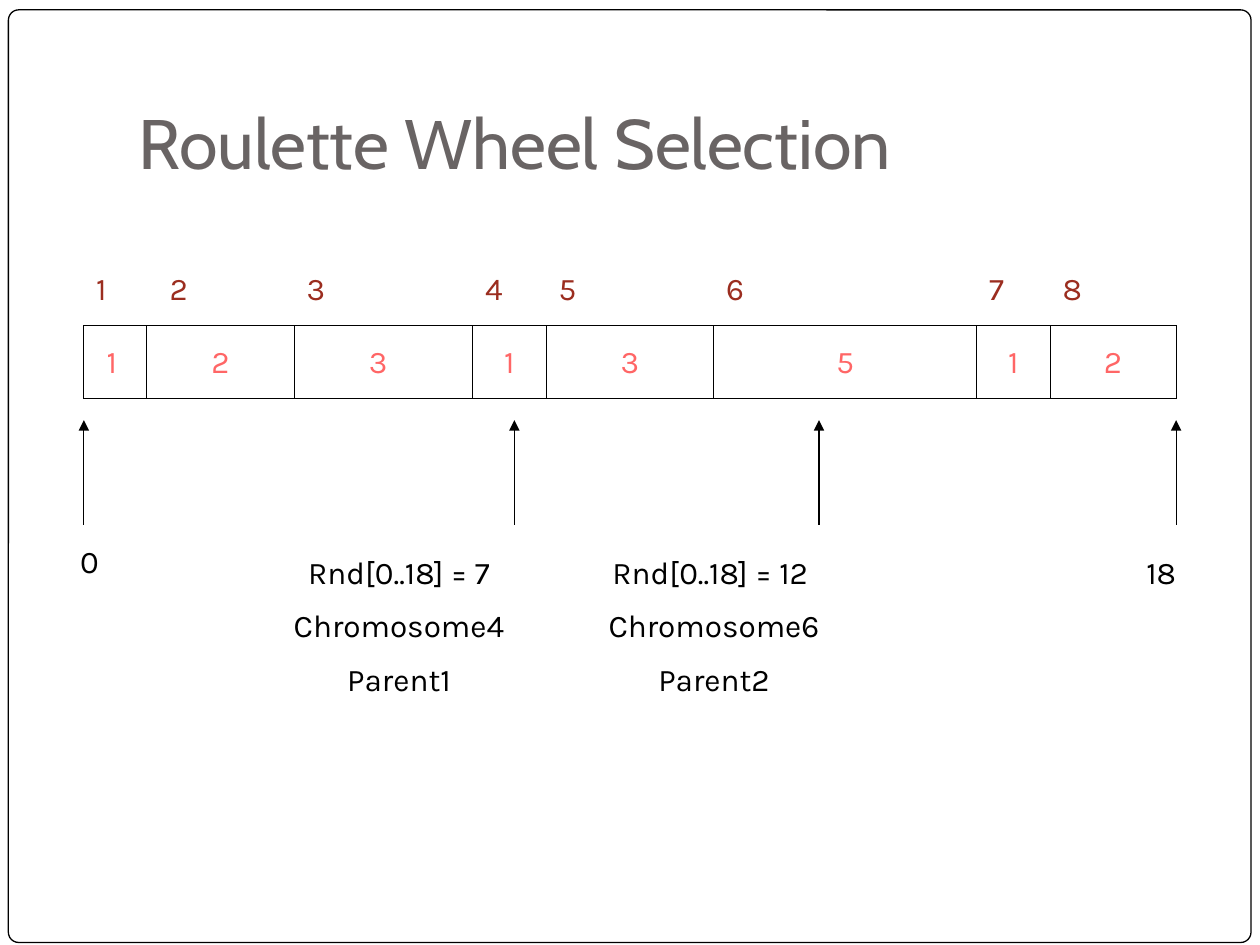
from dataclasses import dataclass

from pptx import Presentation
from pptx.dml.color import RGBColor
from pptx.enum.shapes import MSO_CONNECTOR, MSO_SHAPE
from pptx.enum.text import MSO_ANCHOR, PP_ALIGN
from pptx.oxml.ns import qn
from pptx.util import Cm, Pt
from lxml import etree

LEFT, CENTER = PP_ALIGN.LEFT, PP_ALIGN.CENTER
TOP, BOTTOM = MSO_ANCHOR.TOP, MSO_ANCHOR.BOTTOM
STRAIGHT = MSO_CONNECTOR.STRAIGHT
ROUND = MSO_SHAPE.ROUNDED_RECTANGLE

BLACK, WHITE, GREY = "000000", "FFFFFF", "696464"
CORAL, BRICK = "FF6666", "9B2D1F"

BAR_TOP, BAR_END = 6.56, 8.04
TIP, TAIL = 8.47, 10.58
TAG_TOP, VALUE_TOP = 5.29, 6.77
ROW = 1.27
GAP = 0.21


@dataclass
class Cell:
    left: float
    value: int
    pad_left: float = 0
    pad_right: float = 0
    tag_pad: float = 0
    align: PP_ALIGN = CENTER


@dataclass
class Note:
    left: float
    top: float
    width: float
    height: float
    tip: float
    lines: list[str]
    align: PP_ALIGN = CENTER


CELLS = [
    Cell(1.69, 1, GAP, GAP, align=LEFT),
    Cell(2.96, 2, GAP, GAP, tag_pad=GAP),
    Cell(5.93, 3, pad_right=GAP),
    Cell(9.53, 1),
    Cell(11.01, 3),
    Cell(14.39, 5),
    Cell(19.69, 1),
    Cell(21.17, 2, GAP, GAP),
]
BAR_LEFT, BAR_RIGHT = CELLS[0].left, 23.71
EDGES = [cell.left for cell in CELLS] + [BAR_RIGHT]

NOTES = [
    Note(0.64, 10.8, 2.33, ROW, BAR_LEFT, ["0"]),
    Note(22.86, 11.01, 1.69, ROW, BAR_RIGHT, ["18"], LEFT),
    Note(5.08, 11.01, 5.93, 4.32, 10.37,
         ["Rnd[0..18] = 7", "Chromosome4", "Parent1"]),
    Note(11.22, 11.01, 6.35, 4.32, 16.51,
         ["Rnd[0..18] = 12 ", "Chromosome6", "Parent2"]),
]


def color(code: str) -> RGBColor:
    return RGBColor.from_string(code)


def add_frame(slide) -> None:
    frame = slide.shapes.add_shape(ROUND, Cm(0.17), Cm(0.2), Cm(25.05), Cm(18.8))
    frame.adjustments[0] = 0.011
    frame.shadow.inherit = False
    frame.fill.solid()
    frame.fill.fore_color.rgb = color(WHITE)
    frame.line.color.rgb = color(BLACK)
    frame.line.width = Pt(0.75)


def add_text(slide, left: float, top: float, width: float, height: float,
             lines: list[str], code: str, align: PP_ALIGN = LEFT,
             font: str = "Karla", size: int = 18,
             anchor: MSO_ANCHOR = TOP, foot: float = 0.13) -> None:
    box = slide.shapes.add_textbox(Cm(left), Cm(top), Cm(width), Cm(height))
    frame = box.text_frame
    form = {
        "word_wrap": True,
        "vertical_anchor": anchor,
        "margin_left": Cm(0.25),
        "margin_right": Cm(0.25),
        "margin_top": Cm(0.13),
        "margin_bottom": Cm(foot),
    }
    for name, value in form.items():
        setattr(frame, name, value)
    for i, line in enumerate(lines):
        para = frame.add_paragraph() if i else frame.paragraphs[0]
        para.alignment = align
        if i:
            para.space_before = Pt(9)
        run = para.add_run()
        run.text = line
        for name, value in {"name": font, "size": Pt(size)}.items():
            setattr(run.font, name, value)
        run.font.color.rgb = color(code)


def add_line(slide, x1: float, y1: float, x2: float, y2: float,
             arrow: bool = False) -> None:
    line = slide.shapes.add_connector(STRAIGHT, Cm(x1), Cm(y1), Cm(x2), Cm(y2))
    line.line.color.rgb = color(BLACK)
    line.line.width = Pt(0.75)
    if arrow:
        etree.SubElement(line.line._get_or_add_ln(), qn("a:tailEnd"), type="triangle")
    etree.SubElement(line._element.spPr, qn("a:effectLst"))


def add_wheel(slide) -> None:
    """Draw the wheel unrolled into a bar of numbered cells."""
    for y in (BAR_TOP, BAR_END):
        add_line(slide, BAR_LEFT, y, BAR_RIGHT, y)
    for x in EDGES:
        add_line(slide, x, BAR_TOP, x, BAR_END)
    for i, (cell, right) in enumerate(zip(CELLS, EDGES[1:]), 1):
        left = cell.left + cell.pad_left
        add_text(slide, left, VALUE_TOP, right - cell.pad_right - left, ROW,
                 [str(cell.value)], CORAL, cell.align)
        add_text(slide, cell.left + cell.tag_pad, TAG_TOP, 1.5, ROW,
                 [str(i)], BRICK)


def add_note(slide, note: Note) -> None:
    add_line(slide, note.tip, TAIL, note.tip, TIP, arrow=True)
    add_text(slide, note.left, note.top, note.width, note.height,
             note.lines, BLACK, note.align)


def main() -> None:
    deck = Presentation()
    deck.slide_width, deck.slide_height = Cm(25.4), Cm(19.05)
    slide = deck.slides.add_slide(deck.slide_layouts[6])
    add_frame(slide)
    add_text(slide, 2.54, 0.76, 21.59, 3.18, ["Roulette Wheel Selection"], GREY,
             font="Cabin", size=40, anchor=BOTTOM, foot=0.25)
    add_wheel(slide)
    for note in NOTES:
        add_note(slide, note)
    deck.save("out.pptx")


if __name__ == "__main__":
    main()
